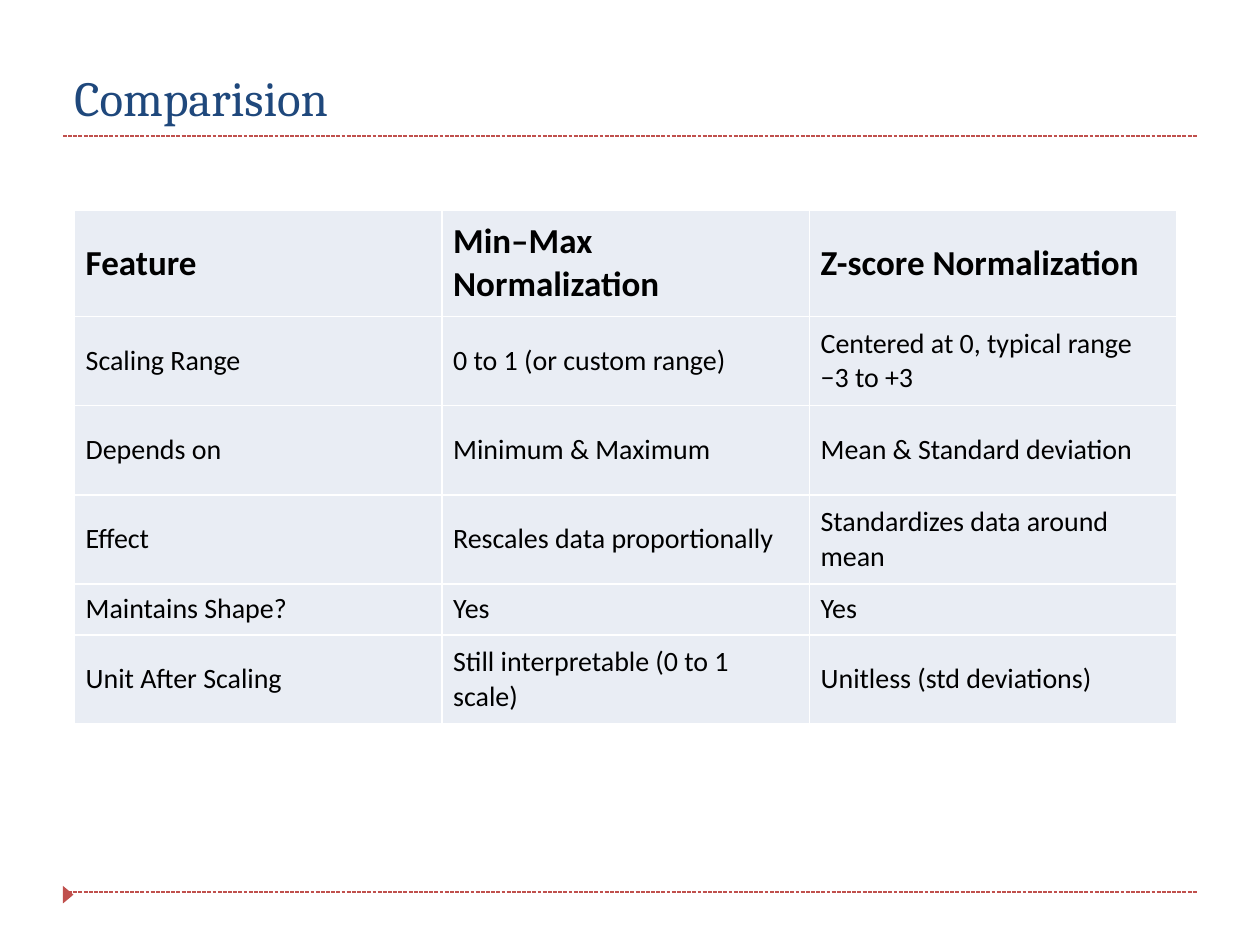
from dataclasses import dataclass

from lxml.etree import SubElement
from pptx import Presentation
from pptx.dml.color import RGBColor as RGB
from pptx.enum.dml import MSO_LINE_DASH_STYLE as Dash
from pptx.enum.shapes import MSO_CONNECTOR as Connector
from pptx.enum.text import MSO_ANCHOR as Anchor
from pptx.oxml.ns import qn
from pptx.slide import Slide
from pptx.table import _Cell as Cell
from pptx.text.text import TextFrame
from pptx.util import Pt


@dataclass(frozen=True)
class Theme:
    title_font: str = "Cambria"
    body_font: str = "Calibri"
    title_size: int = 28
    header_size: int = 20
    body_size: int = 16
    title_color: str = "1F487C"
    text_color: str = "000000"
    accent: str = "C0504D"
    cell_fill: str = "E9EDF4"
    border: str = "FFFFFF"


@dataclass(frozen=True)
class Row:
    height: float
    texts: tuple[str, str, str]
    header: bool = False


THEME = Theme()
LEFT, RIGHT = 36, 684
RULE_TOPS = (77.75, 509.75)
TABLE_LEFT, TABLE_TOP, COLUMN_WIDTH = 42.5, 120.25, 210
ROWS = (
    Row(60.5, ("Feature", "Min–Max Normalization", "Z-score Normalization"), True),
    Row(51, ("Scaling Range", "0 to 1 (or custom range)",
             "Centered at 0, typical range −3 to +3")),
    Row(51, ("Depends on", "Minimum & Maximum", "Mean & Standard deviation")),
    Row(51, ("Effect", "Rescales data proportionally", "Standardizes data around mean")),
    Row(29, ("Maintains Shape?", "Yes", "Yes")),
    Row(51, ("Unit After Scaling", "Still interpretable (0 to 1 scale)",
             "Unitless (std deviations)")),
)


def add_text(tf: TextFrame, text: str, font: str, size: int, color: str,
             bold: bool = False) -> None:
    r = tf.paragraphs[0].add_run()
    r.text = text
    r.font.name, r.font.size, r.font.bold = font, Pt(size), bold
    r.font.color.rgb = RGB.from_string(color)


def add_rule(s: Slide, top: float) -> None:
    line = s.shapes.add_connector(Connector.STRAIGHT, Pt(LEFT), Pt(top), Pt(RIGHT), Pt(top))
    line.line.color.rgb = RGB.from_string(THEME.accent)
    line.line.width = Pt(0.75)
    line.line.dash_style = Dash.SQUARE_DOT
    SubElement(line._element.spPr, qn("a:effectLst"))


def add_marker(s: Slide, top: float, width: float, height: float) -> None:
    builder = s.shapes.build_freeform(Pt(LEFT), Pt(top))
    builder.add_line_segments([(Pt(LEFT), Pt(top + height)),
                               (Pt(LEFT + width), Pt(top + height / 2))])
    sp = builder.convert_to_shape()
    sp.shadow.inherit = False
    sp.fill.solid()
    sp.fill.fore_color.rgb = RGB.from_string(THEME.accent)
    sp.line.fill.background()


def add_title(s: Slide, text: str) -> None:
    sp = s.shapes.add_textbox(Pt(42.5), Pt(38.75), Pt(571.5), Pt(34))
    tf = sp.text_frame
    tf.word_wrap = True
    tf.margin_left = tf.margin_top = tf.margin_right = tf.margin_bottom = 0
    add_text(tf, text, THEME.title_font, THEME.title_size, THEME.title_color)


def style_cell(cell: Cell) -> None:
    # Borders come before the fill in the cell properties
    props = cell._tc.get_or_add_tcPr()
    for side in ("lnL", "lnR", "lnT", "lnB"):
        ln = SubElement(props, qn(f"a:{side}"), w=str(Pt(1)))
        fill = SubElement(ln, qn("a:solidFill"))
        SubElement(fill, qn("a:srgbClr"), val=THEME.border)
    cell.fill.solid()
    cell.fill.fore_color.rgb = RGB.from_string(THEME.cell_fill)
    cell.vertical_anchor = Anchor.MIDDLE
    cell.margin_left = cell.margin_right = Pt(6.5)
    cell.margin_top = cell.margin_bottom = Pt(3.6)


def add_comparison(s: Slide, rows: tuple[Row, ...]) -> None:
    columns = len(rows[0].texts)
    frame = s.shapes.add_table(len(rows), columns, Pt(TABLE_LEFT), Pt(TABLE_TOP),
                               Pt(COLUMN_WIDTH * columns), Pt(sum(r.height for r in rows)))
    table = frame.table
    for column in table.columns:
        column.width = Pt(COLUMN_WIDTH)
    for table_row, row in zip(table.rows, rows):
        table_row.height = Pt(row.height)
        size = THEME.header_size if row.header else THEME.body_size
        for cell, text in zip(table_row.cells, row.texts):
            style_cell(cell)
            add_text(cell.text_frame, text, THEME.body_font, size,
                     THEME.text_color, row.header)


def main() -> None:
    prs = Presentation()
    prs.slide_width, prs.slide_height = Pt(720), Pt(540)
    s = prs.slides.add_slide(prs.slide_layouts[6])

    # Dashed rules and footer marker
    for top in RULE_TOPS:
        add_rule(s, top)
    add_marker(s, top=506.25, width=6, height=10)

    # Title and table
    add_title(s, "Comparision")
    add_comparison(s, ROWS)

    prs.save("out.pptx")


if __name__ == "__main__":
    main()
